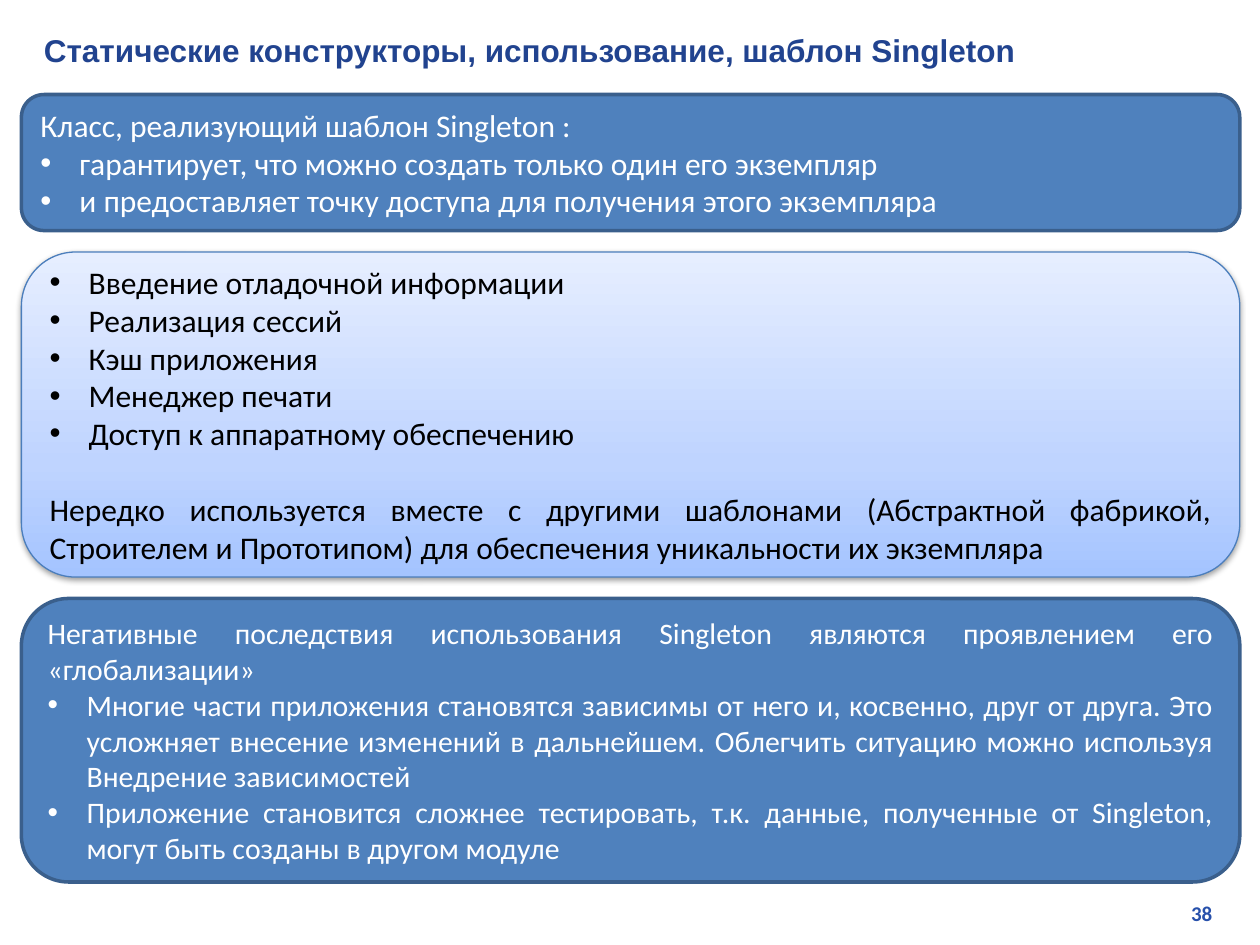
from copy import deepcopy
from dataclasses import dataclass
from typing import Optional

from lxml import etree
from pptx import Presentation
from pptx.dml.color import RGBColor
from pptx.enum.shapes import MSO_SHAPE as Shape
from pptx.enum.text import MSO_ANCHOR as Anchor, PP_ALIGN as Align
from pptx.oxml import parse_xml
from pptx.oxml.ns import nsdecls, qn
from pptx.util import Inches, Pt

WHITE = RGBColor(0xFF, 0xFF, 0xFF)
BLACK = RGBColor(0x00, 0x00, 0x00)
TITLE_BLUE = RGBColor(0x21, 0x43, 0x8F)
NUMBER_BLUE = RGBColor(0x27, 0x50, 0xAB)
PANEL_BLUE = RGBColor(0x4F, 0x81, 0xBD)
PANEL_EDGE = RGBColor(0x3A, 0x5F, 0x8C)
LIGHT_EDGE = RGBColor(0x4B, 0x7E, 0xBC)
LIGHT_STOPS = [
    (0, RGBColor(0xA4, 0xC4, 0xFF)),
    (0.35, RGBColor(0xBF, 0xD4, 0xFF)),
    (1, RGBColor(0xE6, 0xEE, 0xFF)),
]
PANEL_LEFT, PANEL_WIDTH = 0.17, 9.67
BULLET_INDENT = Inches(0.31)


@dataclass
class Line:
    text: str
    bullet: bool = False
    space_before: float = 0


@dataclass
class Panel:
    top: float
    height: float
    lines: list[Line]
    size: float = 18
    light: bool = False


PANELS = [
    Panel(0.75, 1.08, [
        Line("Класс, реализующий шаблон Singleton :"),
        Line("гарантирует, что можно создать только один его экземпляр", bullet=True),
        Line("и предоставляет точку доступа для получения этого экземпляра", bullet=True),
    ]),
    Panel(2, 2.58, [
        Line("Введение отладочной информации", bullet=True),
        Line("Реализация сессий", bullet=True),
        Line("Кэш приложения", bullet=True),
        Line("Менеджер печати", bullet=True),
        Line("Доступ к аппаратному обеспечению", bullet=True),
        Line("Нередко используется вместе с другими шаблонами (Абстрактной "
             "фабрикой, Строителем и Прототипом) для обеспечения "
             "уникальности их экземпляра", space_before=22),
    ], light=True),
    Panel(4.75, 2.25, [
        Line("Негативные последствия использования Singleton являются "
             "проявлением его «глобализации»"),
        Line("Многие части приложения становятся зависимы от него и, косвенно, "
             "друг от друга. Это усложняет внесение изменений в дальнейшем. "
             "Облегчить ситуацию можно используя Внедрение зависимостей", bullet=True),
        Line("Приложение становится сложнее тестировать, т.к. данные, полученные "
             "от Singleton, могут быть созданы в другом модуле", bullet=True),
    ], size=17),
]


def write_line(para, text: str, *, size: float, color: RGBColor, font: str = "Calibri",
               bold: bool = False, align: Align = Align.LEFT,
               bullet: bool = False, space_before: float = 0) -> None:
    para.alignment = align
    if space_before:
        para.space_before = Pt(space_before)
    if bullet:
        props = para._p.get_or_add_pPr()
        props.set("marL", str(BULLET_INDENT))
        props.set("indent", str(-BULLET_INDENT))
        etree.SubElement(props, qn("a:buFont"), typeface="Arial")
        etree.SubElement(props, qn("a:buChar"), char="•")
    span = para.add_run()
    span.text = text
    span.font.name = font
    span.font.size = Pt(size)
    span.font.bold = bold
    span.font.color.rgb = color


def add_label(page, text: str, left: float, top: float, width: float, height: float,
              anchor: Optional[Anchor] = None, **style) -> None:
    box = page.shapes.add_textbox(Inches(left), Inches(top), Inches(width), Inches(height))
    box.text_frame.word_wrap = True
    box.text_frame.vertical_anchor = anchor
    write_line(box.text_frame.paragraphs[0], text, **style)


def fill_light(box) -> None:
    """Bottom-to-top gradient with a soft shadow below."""
    box.fill.gradient()
    box.fill.gradient_angle = 90
    stop_list = box._element.spPr.find(qn("a:gradFill")).find(qn("a:gsLst"))
    stop_list.insert(1, deepcopy(stop_list[0]))
    for stop, (position, color) in zip(box.fill.gradient_stops, LIGHT_STOPS):
        stop.position = position
        stop.color.rgb = color
    box._element.spPr.find(qn("a:effectLst")).append(parse_xml(
        f'<a:outerShdw {nsdecls("a")} blurRad="{Pt(3.1)}" dist="{Pt(1.6)}" '
        'dir="5400000" rotWithShape="0"><a:srgbClr val="000000">'
        '<a:alpha val="38000"/></a:srgbClr></a:outerShdw>'))


def add_panel(page, panel: Panel) -> None:
    box = page.shapes.add_shape(Shape.ROUNDED_RECTANGLE, Inches(PANEL_LEFT), Inches(panel.top),
                                Inches(PANEL_WIDTH), Inches(panel.height))
    box.shadow.inherit = False
    if panel.light:
        fill_light(box)
    else:
        box.fill.solid()
        box.fill.fore_color.rgb = PANEL_BLUE
    box.line.color.rgb = LIGHT_EDGE if panel.light else PANEL_EDGE
    box.line.width = Pt(0.75 if panel.light else 2)

    frame = box.text_frame
    frame.word_wrap = True
    frame.vertical_anchor = Anchor.MIDDLE
    for index, line in enumerate(panel.lines):
        para = frame.add_paragraph() if index else frame.paragraphs[0]
        write_line(para, line.text, size=panel.size, color=BLACK if panel.light else WHITE,
                   align=Align.JUSTIFY, bullet=line.bullet, space_before=line.space_before)


def main() -> None:
    deck = Presentation()
    deck.slide_width, deck.slide_height = Inches(10), Inches(7.5)
    page = deck.slides.add_slide(deck.slide_layouts[6])

    # Page number and title
    add_label(page, "38", 7.6, 7.1, 2.12, 0.3, size=12, color=NUMBER_BLUE,
              bold=True, align=Align.RIGHT)
    add_label(page, "Статические конструкторы, использование, шаблон Singleton",
              0.25, 0.2, 9.54, 0.4, anchor=Anchor.MIDDLE, size=18, color=TITLE_BLUE,
              font="Arial", bold=True)

    # Definition, uses and drawbacks
    for panel in PANELS:
        add_panel(page, panel)

    deck.save("out.pptx")


if __name__ == "__main__":
    main()
